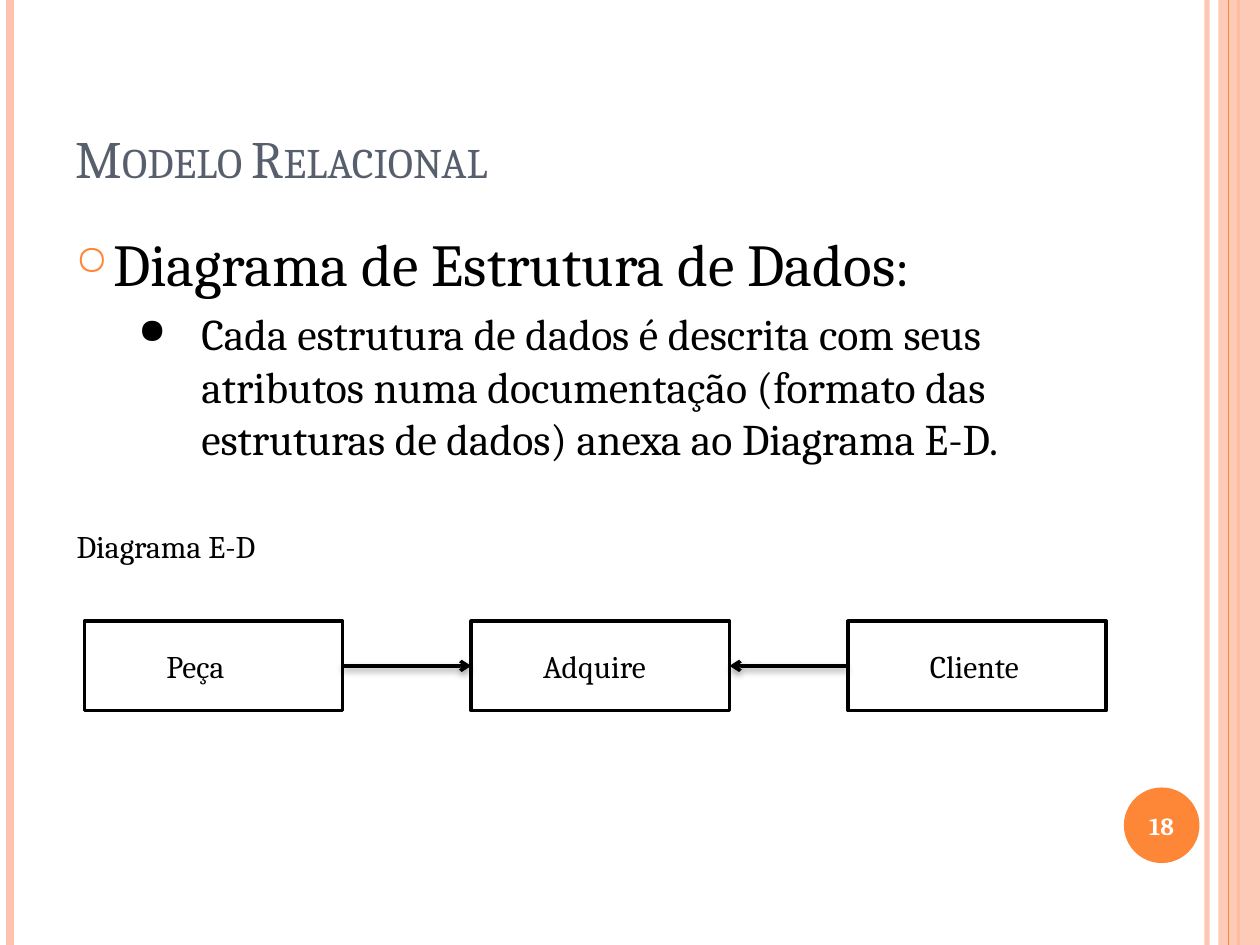
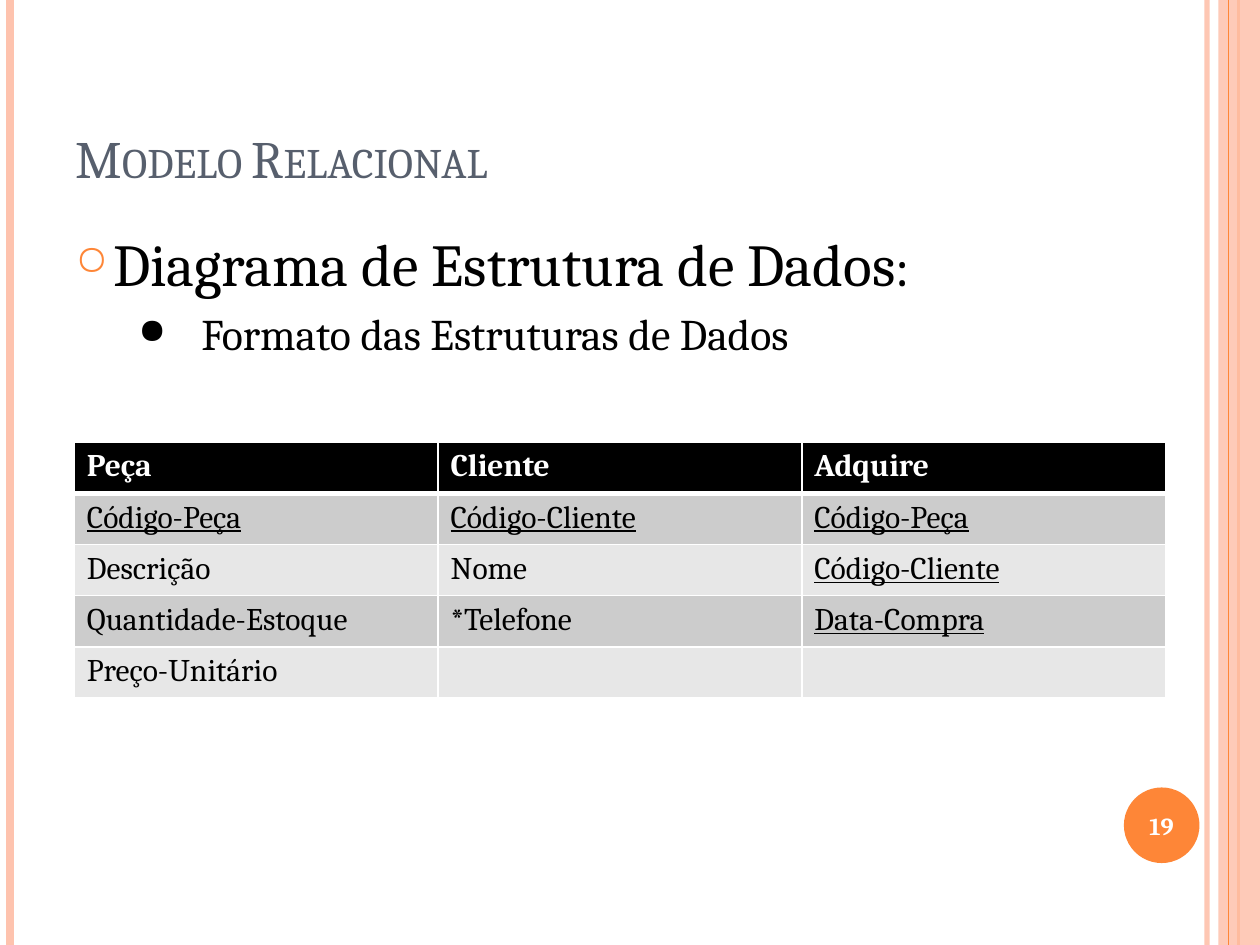
from lxml import etree
from pptx import Presentation
from pptx.dml.color import RGBColor
from pptx.enum.shapes import MSO_CONNECTOR, MSO_SHAPE
from pptx.enum.text import MSO_ANCHOR, PP_ALIGN
from pptx.oxml.ns import qn
from pptx.util import Inches, Pt

STRAIGHT = MSO_CONNECTOR.STRAIGHT
RECTANGLE, OVAL = MSO_SHAPE.RECTANGLE, MSO_SHAPE.OVAL
LEFT, CENTER = PP_ALIGN.LEFT, PP_ALIGN.CENTER
MIDDLE, BOTTOM = MSO_ANCHOR.MIDDLE, MSO_ANCHOR.BOTTOM

FONT = "Cambria"
BLACK, WHITE = "000000", "FFFFFF"
ORANGE, PEACH, SLATE = "FE8637", "FEC3AE", "575F6D"
BAND_FILLS = ("CCCCCC", "E7E7E7")

WIDTH, HEIGHT = 10, 7.5
TITLE = "Modelo Relacional"
TOPIC = "Diagrama de Estrutura de Dados"

# x, colour, width in points, opacity in percent
VERTICAL_LINES = [
    (9.58, PEACH, 3, 93),
    (0.08, PEACH, 4.5, 100),
    (9.83, ORANGE, 1.5, 100),
]

# name, left edge, text inset
ENTITIES = [
    ("Peça", 0.67, 0.65),
    ("Adquire", 3.74, 0.57),
    ("Cliente", 6.73, 0.65),
]
ENTITY_TOP, ENTITY_WIDTH, ENTITY_HEIGHT = 4.93, 2.05, 0.71

STRUCTURES = [
    ("Peça", "Cliente", "Adquire"),
    ("Código-Peça", "Código-Cliente", "Código-Peça"),
    ("Descrição", "Nome", "Código-Cliente"),
    ("Quantidade-Estoque", "*Telefone", "Data-Compra"),
    ("Preço-Unitário", "", ""),
]
KEYS = {"Código-Peça", "Código-Cliente", "Data-Compra"}


def rgb(color):
    return RGBColor.from_string(color)


def add_element(parent, tag, **attributes):
    return etree.SubElement(parent, qn(tag), attributes)


def set_opacity(fill_parent, percent):
    color = next(fill_parent.iter(qn("a:srgbClr")))
    add_element(color, "a:alpha", val=str(percent * 1000))


def add_run(paragraph, text, size, color=BLACK, bold=False, underline=False):
    run = paragraph.add_run()
    run.text = text
    run.font.name = FONT
    run.font.size = Pt(size)
    run.font.color.rgb = rgb(color)
    run.font.bold = bold
    run.font.underline = underline
    return run


def add_line(slide, start, end, color, width):
    line = slide.shapes.add_connector(
        STRAIGHT, *(Inches(value) for value in (*start, *end)))
    line.line.color.rgb = rgb(color)
    line.line.width = Pt(width)
    effects = add_element(line._element.spPr, "a:effectLst")
    return line, effects


def add_vertical_line(slide, x, color, width, opacity=100):
    line, _ = add_line(slide, (x, 0), (x, HEIGHT), color, width)
    if opacity < 100:
        set_opacity(line._element.spPr, opacity)


def add_arrow(slide, start, end):
    """Black connector with an open head at its end and a soft shadow below."""
    arrow, effects = add_line(slide, start, end, BLACK, 2)
    add_element(arrow.line._get_or_add_ln(), "a:tailEnd", type="arrow")
    shadow = add_element(effects, "a:outerShdw", blurRad=str(Pt(4)),
                         dist=str(Pt(2)), dir="5400000", rotWithShape="0")
    color = add_element(shadow, "a:srgbClr", val=BLACK)
    add_element(color, "a:alpha", val="40000")


def add_box(slide, kind, left, top, width, height, fill=None, outline=None):
    box = slide.shapes.add_shape(
        kind, Inches(left), Inches(top), Inches(width), Inches(height))
    box.shadow.inherit = False
    if fill:
        box.fill.solid()
        box.fill.fore_color.rgb = rgb(fill)
    else:
        box.fill.background()
    if outline:
        box.line.color.rgb = rgb(outline)
        box.line.width = Pt(2)
    else:
        box.line.fill.background()
    return box


def add_text_box(slide, left, top, width, height, wrap=True):
    box = slide.shapes.add_textbox(
        Inches(left), Inches(top), Inches(width), Inches(height))
    box.text_frame.word_wrap = wrap
    return box.text_frame


def add_frame(slide):
    for line in VERTICAL_LINES:
        add_vertical_line(slide, *line)
    band = add_box(slide, RECTANGLE, 9.67, 0, 0.33, HEIGHT, fill=PEACH)
    set_opacity(band._element.spPr, 87)
    add_vertical_line(slide, 9.75, ORANGE, 0.75)


def add_page_number(slide, number):
    badge = add_box(slide, OVAL, 8.92, 6.25, 0.6, 0.6, fill=ORANGE)
    frame = badge.text_frame
    frame.margin_left = frame.margin_right = 0
    frame.vertical_anchor = MIDDLE
    paragraph = frame.paragraphs[0]
    paragraph.alignment = CENTER
    add_run(paragraph, str(number), 14, WHITE, bold=True)


def set_title(slide):
    title = slide.shapes.title
    title.left, title.top = Inches(0.5), Inches(0.3)
    title.width, title.height = Inches(8.17), Inches(1.25)
    title.text_frame.vertical_anchor = BOTTOM
    paragraph = title.text_frame.paragraphs[0]
    paragraph.alignment = LEFT
    run = add_run(paragraph, TITLE, 30, SLATE)
    run._r.get_or_add_rPr().set("cap", "small")


def set_bullet(paragraph, character, color, size, margin, hanging):
    properties = paragraph._p.get_or_add_pPr()
    properties.set("marL", str(Inches(margin)))
    properties.set("indent", str(-Inches(hanging)))
    bullet_color = add_element(properties, "a:buClr")
    add_element(bullet_color, "a:srgbClr", val=color)
    add_element(properties, "a:buSzPct", val=str(size * 1000))
    add_element(properties, "a:buChar", char=character)


def add_body(slide, detail):
    frame = add_text_box(slide, 0.5, 1.75, 8.17, 4.76)
    topic = frame.paragraphs[0]
    set_bullet(topic, "○", ORANGE, 70, 0.3, 0.3)
    add_run(topic, TOPIC, 34)
    add_run(topic, ":", 31)
    paragraph = frame.add_paragraph()
    paragraph.level = 1
    set_bullet(paragraph, "●", BLACK, 80, 1, 0.5)
    paragraph.space_before = Pt(5)
    add_run(paragraph, detail, 25)


def add_entity(slide, name, left, inset):
    box = add_box(slide, RECTANGLE, left, ENTITY_TOP, ENTITY_WIDTH,
                  ENTITY_HEIGHT, outline=BLACK)
    frame = box.text_frame
    frame.margin_left = Inches(inset)
    frame.vertical_anchor = MIDDLE
    paragraph = frame.paragraphs[0]
    paragraph.alignment = LEFT
    add_run(paragraph, name, 18)


def add_diagram(slide):
    caption = add_text_box(slide, 0.51, 4.13, 1.8, 0.4, wrap=False)
    add_run(caption.paragraphs[0], "Diagrama E-D", 18)
    for entity in ENTITIES:
        add_entity(slide, *entity)
    part, purchase, client = (left for _, left, _ in ENTITIES)
    middle = ENTITY_TOP + ENTITY_HEIGHT / 2
    add_arrow(slide, (part + ENTITY_WIDTH, middle), (purchase, middle))
    add_arrow(slide, (client, middle), (purchase + ENTITY_WIDTH, middle))


def set_borders(cell, **widths):
    properties = cell._tc.get_or_add_tcPr()
    for side in ("L", "R", "T", "B"):
        width = Pt(widths.get(side, 1))
        line = add_element(properties, f"a:ln{side}", w=str(width))
        fill = add_element(line, "a:solidFill")
        add_element(fill, "a:srgbClr", val=WHITE)


def add_structure_table(slide):
    table = slide.shapes.add_table(
        len(STRUCTURES), len(STRUCTURES[0]), Inches(0.59), Inches(3.51),
        Inches(8.66), Inches(2.03)).table
    for row_index, names in enumerate(STRUCTURES):
        header = row_index == 0
        for column_index, name in enumerate(names):
            cell = table.cell(row_index, column_index)
            set_borders(cell, T=3 if row_index == 1 else 1,
                        B=3 if header else 1)
            cell.fill.solid()
            fill = BLACK if header else BAND_FILLS[(row_index - 1) % 2]
            cell.fill.fore_color.rgb = rgb(fill)
            if name:
                add_run(cell.text_frame.paragraphs[0], name, 18,
                        WHITE if header else BLACK, bold=header,
                        underline=name in KEYS)


def add_content_slide(presentation, number, detail):
    slide = presentation.slides.add_slide(presentation.slide_layouts[5])
    add_frame(slide)
    add_page_number(slide, number)
    set_title(slide)
    add_body(slide, detail)
    return slide


def main():
    presentation = Presentation()
    presentation.slide_width = Inches(WIDTH)
    presentation.slide_height = Inches(HEIGHT)
    add_diagram(add_content_slide(
        presentation, 18,
        "Cada estrutura de dados é descrita com seus atributos numa "
        "documentação (formato das estruturas de dados) anexa ao "
        "Diagrama E-D."))
    add_structure_table(add_content_slide(
        presentation, 19, "Formato das Estruturas de Dados"))
    presentation.save("out.pptx")


if __name__ == "__main__":
    main()
